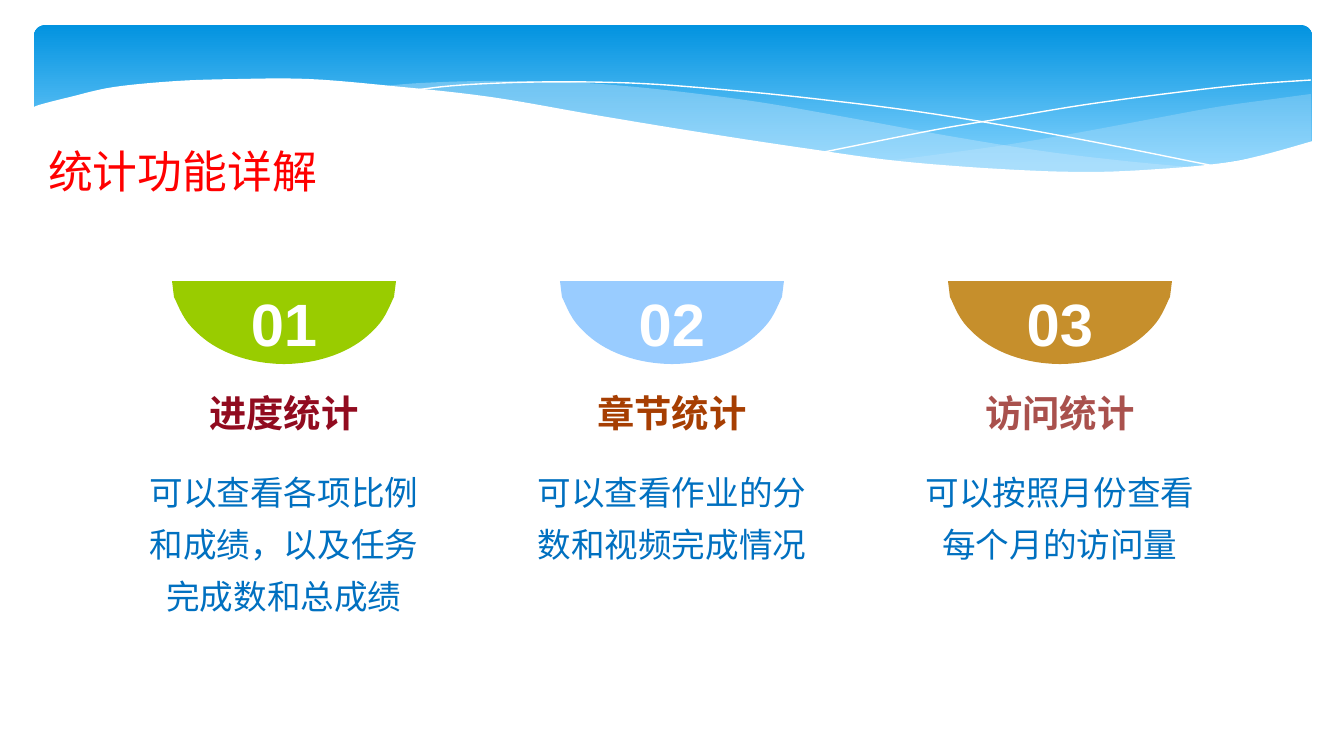
from lxml import etree
from pptx import Presentation
from pptx import util as u
from pptx.dml.color import RGBColor
from pptx.enum import shapes, text
from pptx.oxml.ns import qn

PX = 914400 / 134.4
WHITE = RGBColor(0xFF, 0xFF, 0xFF)
RED = RGBColor(0xFF, 0x00, 0x00)
BLUE = RGBColor(0x00, 0x70, 0xC0)
SKY_TOP = RGBColor(0x02, 0x93, 0xE0)
SKY_BOTTOM = RGBColor(0x83, 0xD3, 0xFE)
MIST = RGBColor(0xC6, 0xE7, 0xFC)
LIME = RGBColor(0x99, 0xCC, 0x00)
PALE_BLUE = RGBColor(0x99, 0xCC, 0xFF)
OCHRE = RGBColor(0xC6, 0x8F, 0x2C)
WINE = RGBColor(0x91, 0x0B, 0x1F)
RUST = RGBColor(0xA6, 0x3E, 0x02)
ROSE = RGBColor(0xA9, 0x51, 0x4D)


def curve(knots, steps=6):
    """Return EMU points on a Catmull-Rom spline through knots in px."""
    padded = [knots[0], *knots, knots[-1]]
    points = []
    for a, b, c, d in zip(padded, padded[1:], padded[2:], padded[3:]):
        for t in (i / steps for i in range(steps)):
            points.append(tuple(
                PX * (q + t / 2 * (r - p + t * (2 * p - 5 * q + 4 * r - s
                                                + t * (3 * q - p - 3 * r + s))))
                for p, q, r, s in zip(a, b, c, d)))
    return points + [(knots[-1][0] * PX, knots[-1][1] * PX)]


def write(frame, words, size, font, color, bold=False, align=text.PP_ALIGN.CENTER):
    """Put one formatted paragraph in the frame and return the paragraph."""
    frame.word_wrap = True
    frame.vertical_anchor = text.MSO_ANCHOR.MIDDLE
    paragraph = frame.paragraphs[0]
    paragraph.text = words
    paragraph.alignment = align
    run = paragraph.runs[0]
    run.font.size = u.Pt(size)
    run.font.bold = bold
    run.font.name = font
    run.font.color.rgb = color
    etree.SubElement(run.font._element, qn("a:ea")).set("typeface", font)
    return paragraph


prs = Presentation()
prs.slide_width, prs.slide_height = round(1344 * PX), round(756 * PX)
slide = prs.slides.add_slide(prs.slide_layouts[6])
parts = slide.shapes

# Banner
banner = parts.add_shape(shapes.MSO_SHAPE.ROUNDED_RECTANGLE,
                         *(round(v * PX) for v in (34, 25, 1278, 157)))
banner.adjustments[0] = 0.07
banner.shadow.inherit = False
banner.line.fill.background()
banner.fill.gradient()
banner.fill.gradient_angle = 270
for stop, color, position in zip(banner.fill.gradient_stops, (SKY_TOP, SKY_BOTTOM), (0, 0.9)):
    stop.color.rgb = color
    stop.position = position

right_wave = curve([(1311, 94), (1274, 99), (1217, 107), (1157, 118), (1082, 132),
                    (1012, 144), (949, 153), (888, 161)])
right_wave += curve([(888, 161), (948, 166), (1001, 170), (1064, 173), (1122, 173),
                     (1183, 169), (1216, 164), (1275, 153), (1311, 142)])
middle_wave = curve([(1200, 168), (1125, 161), (1042, 151), (949, 136), (845, 117),
                     (765, 103), (691, 93), (625, 86), (564, 82), (485, 81),
                     (421, 83), (384, 86)])
middle_wave += curve([(384, 86), (515, 102), (603, 117), (712, 136), (808, 151),
                      (894, 163), (970, 169), (1039, 173), (1099, 175), (1152, 172),
                      (1200, 168)])
falling_line = curve([(415, 90), (462, 85), (539, 82), (630, 83), (716, 89),
                      (817, 99), (934, 114), (1068, 137), (1219, 167)])
rising_line = curve([(824, 152), (934, 130), (1005, 118), (1083, 105), (1164, 94),
                     (1242, 85), (1311, 80)])
white_wave = curve([(1313, 141), (1263, 155), (1223, 163), (1160, 169), (1087, 172),
                    (1000, 169), (898, 161), (810, 149), (711, 134), (601, 116),
                    (491, 97), (392, 86), (309, 79), (238, 79), (177, 81),
                    (114, 87), (70, 97), (39, 105), (31, 109)])
white_wave += [(31 * PX, 226 * PX), (1313 * PX, 226 * PX)]

for points, fill, opacity in ((right_wave, MIST, 29), (middle_wave, MIST, 40),
                              (falling_line, None, 100), (rising_line, None, 100),
                              (white_wave, WHITE, 100)):
    builder = parts.build_freeform(*points[0])
    builder.add_line_segments(points[1:], close=fill is not None)
    wave = builder.convert_to_shape()
    wave.shadow.inherit = False
    if fill is None:
        wave.fill.background()
        wave.line.color.rgb = WHITE
        wave.line.width = u.Pt(0)
        continue
    wave.line.fill.background()
    wave.fill.solid()
    wave.fill.fore_color.rgb = fill
    if opacity < 100:
        rgb = wave._element.spPr.find(qn("a:solidFill"))[0]
        etree.SubElement(rgb, qn("a:alpha")).set("val", str(opacity * 1000))

title = parts.add_textbox(*(round(v * PX) for v in (35, 136, 336, 69)))
write(title.text_frame, "统计功能详解", 24, "Calibri", RED, align=text.PP_ALIGN.LEFT)

# Three statistics columns
half_bowl = [(110, 297), (96, 323), (71, 345), (38, 359)]
columns = (
    ("01", LIME, "进度统计", WINE, "可以查看各项比例和成绩，以及任务完成数和总成绩"),
    ("02", PALE_BLUE, "章节统计", RUST, "可以查看作业的分数和视频完成情况"),
    ("03", OCHRE, "访问统计", ROSE, "可以按照月份查看每个月的访问量"),
)
for index, (number, bowl_color, heading, heading_color, detail) in enumerate(columns):
    center = 284 + 388 * index
    rim = [((center - 112) * PX, 281 * PX), ((center + 112) * PX, 281 * PX)]
    arc = curve([(center + x, y) for x, y in half_bowl] + [(center, 364)]
                + [(center - x, y) for x, y in reversed(half_bowl)])
    builder = parts.build_freeform(*rim[0])
    builder.add_line_segments(rim[1:] + arc)
    bowl = builder.convert_to_shape()
    bowl.shadow.inherit = False
    bowl.line.fill.background()
    bowl.fill.solid()
    bowl.fill.fore_color.rgb = bowl_color
    write(bowl.text_frame, number, 32, "Arial", WHITE, bold=True)

    left = center - 158
    detail_box = parts.add_textbox(*(round(v * PX) for v in (left, 453, 316, 196)))
    paragraph = write(detail_box.text_frame, detail, 18, "Noto Sans CJK JP", BLUE)
    paragraph.line_spacing = 1.3
    detail_box.text_frame.vertical_anchor = text.MSO_ANCHOR.TOP

    heading_box = parts.add_textbox(*(round(v * PX) for v in (left, 382, 316, 62)))
    write(heading_box.text_frame, heading, 20, "Noto Sans CJK SC", heading_color, bold=True)

prs.save("out.pptx")
